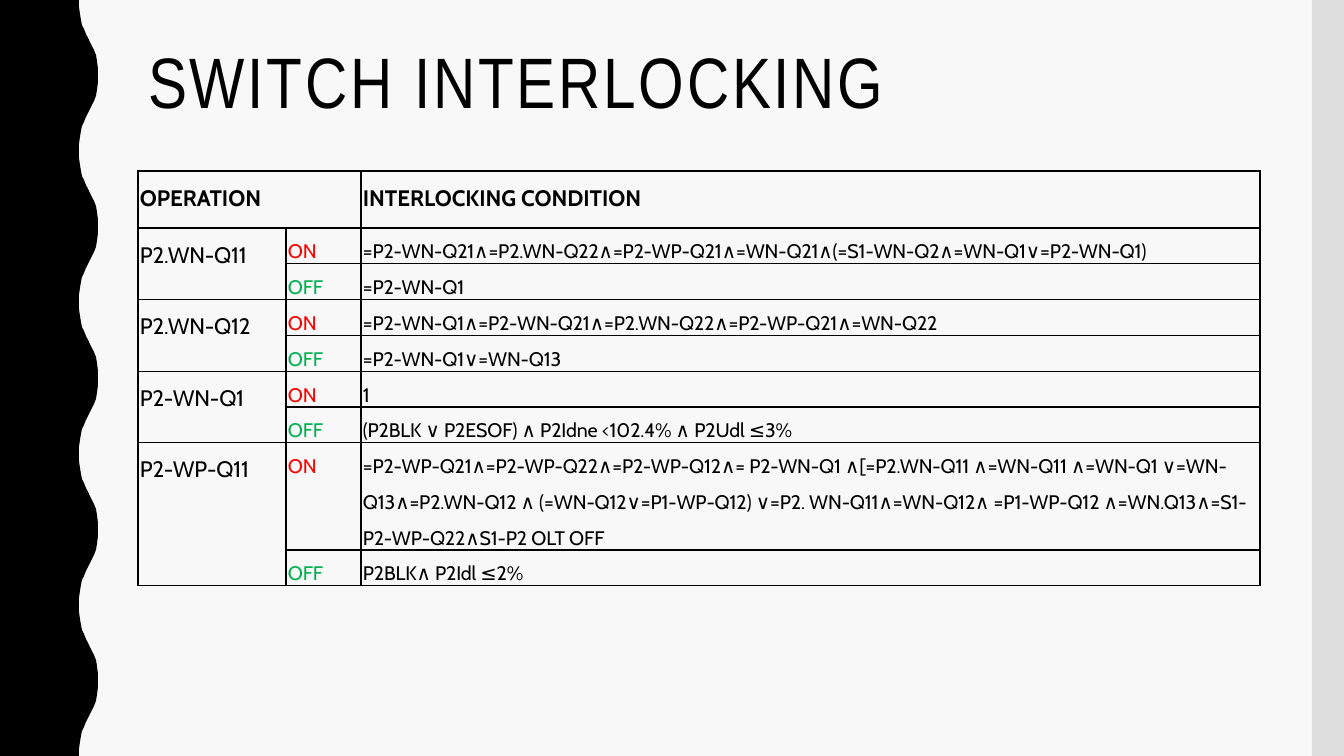
"""Builds the switch interlocking slide: wavy left band, title and condition table."""
from lxml.etree import SubElement
from pptx import Presentation
from pptx.dml.color import RGBColor
from pptx.enum.shapes import MSO_SHAPE
from pptx.enum.text import MSO_ANCHOR, MSO_AUTO_SIZE, PP_ALIGN
from pptx.oxml import parse_xml
from pptx.oxml.ns import nsdecls
from pptx.util import Pt

SCALE = 914400 / 100.8
WIDTH, HEIGHT = 1344, 756
BLACK, RED, GREEN = "000000", "FF0000", "00B050"


def px(n):
    return round(n * SCALE)


def style(target, color, **values):
    for name, value in values.items():
        setattr(target, name, value)
    target.color.rgb = RGBColor.from_string(color)


prs = Presentation()
prs.slide_width, prs.slide_height = px(WIDTH), px(HEIGHT)
s = prs.slides.add_slide(prs.slide_layouts[5])
s.background.fill.solid()
s.background.fill.fore_color.rgb = RGBColor.from_string("F8F8F8")

WAVES = 5
period = HEIGHT / WAVES
half = [(79, 0), (79, 7), (80, 14), (81, 20), (82, 25), (84, 29), (86, 34), (88, 38),
        (90, 42), (92, 46), (94, 50), (96, 55), (97, 61), (98, 69), (98, 76)]
wave = half + [(x, period - y) for x, y in reversed(half[:-1])]
edge = [(x, k * period + y) for k in range(WAVES) for x, y in wave]
builder = s.shapes.build_freeform(0, 0, scale=SCALE)
builder.add_line_segments(edge + [(0, HEIGHT)], close=True)
band = builder.convert_to_shape()
strip = s.shapes.add_shape(MSO_SHAPE.RECTANGLE, px(1312), 0, px(32), px(HEIGHT))
for sp, color in ((band, BLACK), (strip, "DDDDDD")):
    sp.shadow.inherit = False
    sp.fill.solid()
    sp.fill.fore_color.rgb = RGBColor.from_string(color)
    sp.line.fill.background()

title = s.shapes.title
title.left, title.top, title.width, title.height = px(138), px(42), px(1122), px(164)
tf = title.text_frame
tf.word_wrap, tf.auto_size, tf.vertical_anchor = True, MSO_AUTO_SIZE.NONE, MSO_ANCHOR.TOP
p = tf.paragraphs[0]
p.alignment, p.line_spacing = PP_ALIGN.LEFT, 0.9
r = p.add_run()
r.text = "SWITCH INTERLOCKING"
style(r.font, BLACK, name="Arial Narrow", size=Pt(51))
r.font._element.set("spc", "200")

operations = [
    ("P2.WN-Q11",
     "=P2-WN-Q21∧=P2.WN-Q22∧=P2-WP-Q21∧=WN-Q21∧(=S1-WN-Q2∧=WN-Q1∨=P2-WN-Q1)",
     "=P2-WN-Q1"),
    ("P2.WN-Q12",
     "=P2-WN-Q1∧=P2-WN-Q21∧=P2.WN-Q22∧=P2-WP-Q21∧=WN-Q22",
     "=P2-WN-Q1∨=WN-Q13"),
    ("P2-WN-Q1", "1", "(P2BLK ∨ P2ESOF) ∧ P2Idne <102.4% ∧ P2Udl ≤3%"),
    ("P2-WP-Q11",
     "=P2-WP-Q21∧=P2-WP-Q22∧=P2-WP-Q12∧= P2-WN-Q1 ∧[=P2.WN-Q11 ∧=WN-Q11 ∧=WN-Q1 "
     "∨=WN-Q13∧=P2.WN-Q12 ∧ (=WN-Q12∨=P1-WP-Q12) ∨=P2. WN-Q11∧=WN-Q12∧ "
     "=P1-WP-Q12 ∧=WN.Q13∧=S1-P2-WP-Q22∧S1-P2 OLT OFF",
     "P2BLK∧ P2Idl ≤2%"),
]
rows = [("OPERATION", "", "INTERLOCKING CONDITION")]
for name, on, off in operations:
    rows += [(name, "ON", on), ("", "OFF", off)]

heights = [57] + [35] * 6 + [107, 35]
widths = [148, 75, 899]
table = s.shapes.add_table(len(rows), len(widths), px(138), px(171),
                           px(sum(widths)), px(sum(heights))).table
table.first_row = table.horz_banding = False
for col, width in zip(table.columns, widths):
    col.width = px(width)
for row, height in zip(table.rows, heights):
    row.height = px(height)
table.cell(0, 0).merge(table.cell(0, 1))
for i in range(1, len(rows), 2):
    table.cell(i, 0).merge(table.cell(i + 1, 0))

for i, row in enumerate(rows):
    for j, text in enumerate(row):
        cell = table.cell(i, j)
        cell.margin_left = cell.margin_right = px(2)
        cell.margin_top = cell.margin_bottom = 0
        cell.vertical_anchor = MSO_ANCHOR.TOP
        cell.fill.background()
        tcPr = cell._tc.get_or_add_tcPr()
        for k, side in enumerate("LRTB"):
            ln = parse_xml(f'<a:ln{side} {nsdecls("a")} w="12700"><a:solidFill>'
                           f'<a:srgbClr val="{BLACK}"/></a:solidFill></a:ln{side}>')
            tcPr.insert(k, ln)
        if text:
            p = cell.text_frame.paragraphs[0]
            p.line_spacing = 1.5
            r = p.add_run()
            r.text = text
            size = 16 if i == 0 or j == 0 else 14
            color = {"ON": RED, "OFF": GREEN}.get(text, BLACK)
            style(r.font, color, name="Cabin", size=Pt(size), bold=i == 0)
            if i:
                r.font._element.set("spc", "-10")

prs.save("out.pptx")
